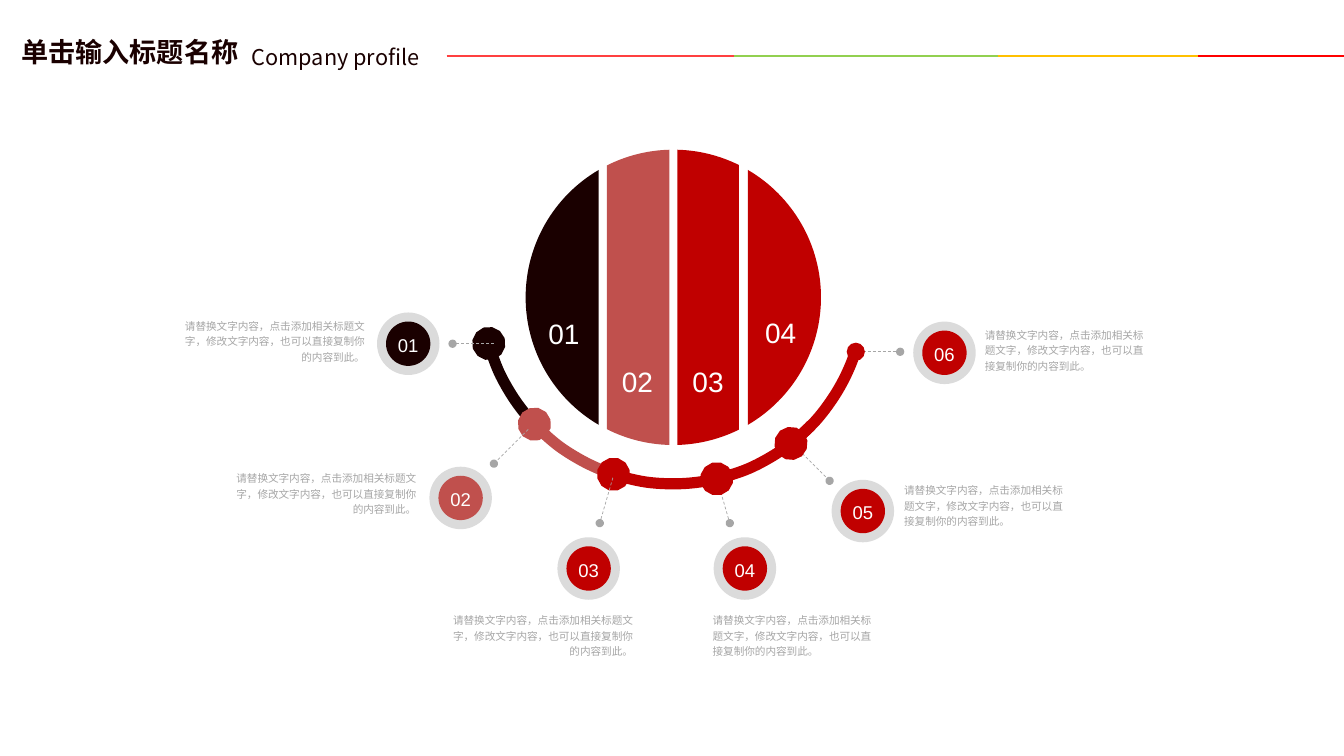
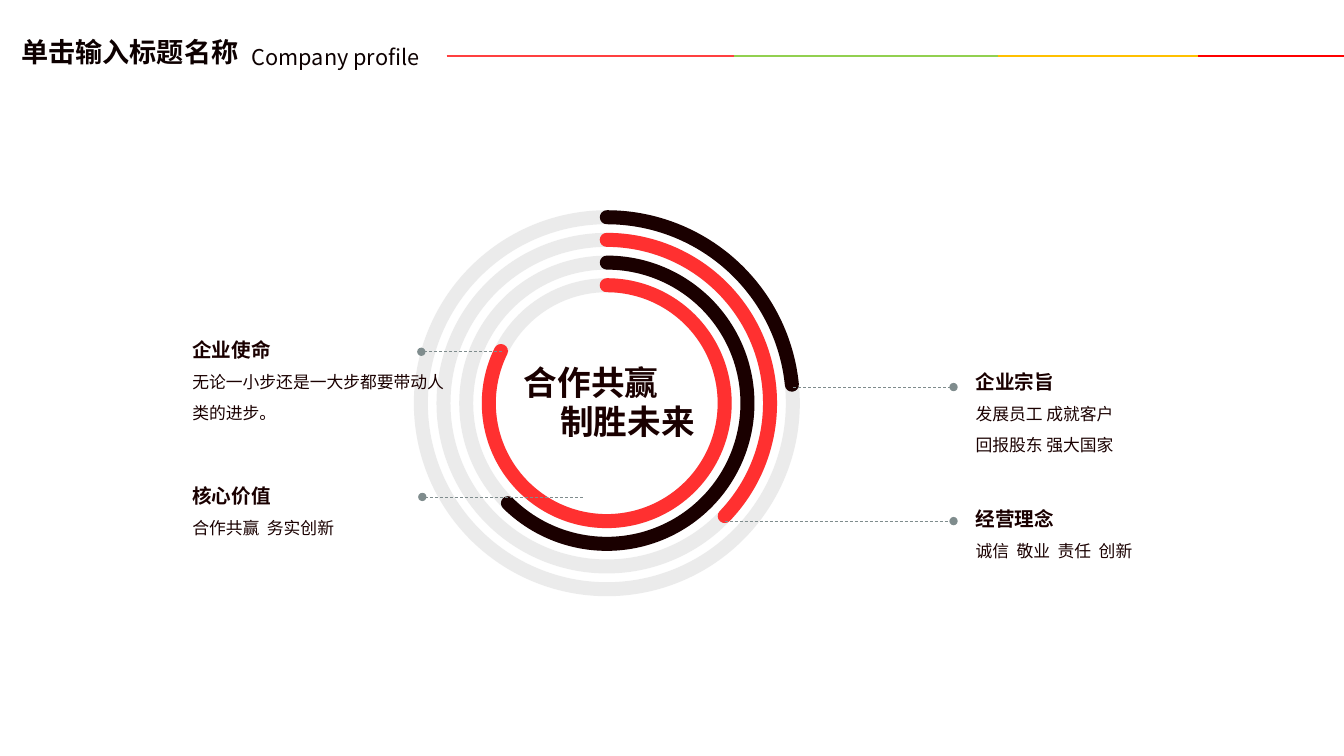
from dataclasses import dataclass
from math import acos, cos, pi, radians, sin, tan

from lxml import etree
from pptx import Presentation
from pptx.dml.color import RGBColor
from pptx.enum.dml import MSO_LINE
from pptx.enum.shapes import MSO_CONNECTOR, MSO_SHAPE
from pptx.enum.text import MSO_ANCHOR, MSO_AUTO_SIZE, PP_ALIGN
from pptx.oxml.ns import qn
from pptx.util import Inches, Pt


@dataclass(frozen=True)
class Theme:
    ink: str = "1A0000"
    deep_ink: str = "0D0000"
    rose: str = "C0504D"
    red: str = "C00000"
    bright: str = "FF3030"
    white: str = "FFFFFF"
    grey: str = "A6A6A6"
    slate: str = "7F8C8D"
    halo: str = "DBDBDB"
    track: str = "D9D9D9"
    cjk: str = "Noto Sans CJK SC"
    latin: str = "Arial"
    title: float = 19.4
    subtitle: float = 15.5
    slogan: float = 24
    heading: float = 14
    body: float = 12
    stripe: float = 20
    badge: float = 13.2
    caption: float = 7.6


THEME = Theme()
CAPTION = "请替换文字内容，点击添加相关标题文字，修改文字内容，也可以直接复制你的内容到此。"
HEADER_STOPS = (4.43, 7.28, 9.9, 11.89, 13.33)
HEADER_COLORS = ("FF4040", "92D050", "FFC000", "FF0000")

DISC_CENTER, DISC_RADIUS = (6.68, 2.95), 1.465
TRACK_CENTER, TRACK_RADIUS = (6.68, 2.9), 1.9
# left edge, right edge, colour, label position
STRIPES = (
    (5.21, 5.94, THEME.ink, (5.33, 3.11)),
    (6.02, 6.64, THEME.rose, (6.06, 3.59)),
    (6.72, 7.33, THEME.red, (6.76, 3.59)),
    (7.42, 8.15, THEME.red, (7.48, 3.1)),
)
# angle of the node, angle of the far end (clockwise from the right), colour
LEFT_ARCS = (
    (164.5, 134.4, THEME.ink),
    (136.5, 103.7, THEME.rose),
    (108.2, 74.7, THEME.red),
)
RIGHT_ARCS = ((76.9, 43.9, THEME.red), (52.1, 17.9, THEME.red))
# badge centre, colour, leader from arc to dot, caption position, align
BADGES = (
    ((4.05, 3.41), THEME.ink, (4.9, 3.41), (4.49, 3.41), (1.82, 3.15), "right"),
    ((4.57, 4.94), THEME.rose, (5.24, 4.26), (4.9, 4.6), (2.33, 4.66), "right"),
    ((5.84, 5.64), THEME.red, (6.08, 4.74), (5.95, 5.19), (4.48, 6.07), "right"),
    ((7.39, 5.64), THEME.red, (7.11, 4.74), (7.24, 5.19), (7.07, 6.07), "left"),
    ((8.56, 5.07), THEME.red, (7.89, 4.43), (8.23, 4.77), (8.97, 4.78), "left"),
    ((9.37, 3.5), THEME.red, (8.51, 3.49), (8.93, 3.49), (9.77, 3.24), "left"),
)
CAPTION_SIZES = {"left": (1.65, 0.46), "right": (1.8, 0.52)}

RING_CENTER, RING_OUTER, RING_STEP = (6.02, 4), 3.69, 0.45
# end angle of each ring's sweep, colour
SWEEPS = (
    (354.28, THEME.ink),
    (43.74, THEME.bright),
    (134.69, THEME.ink),
    (206.24, THEME.bright),
)
# text position, height, lines, leader from ring to dot
NOTES = (
    ((9.58, 3.63), 0.94, ("企业宗旨", "发展员工 成就客户", "回报股东 强大国家"),
     (7.87, 3.84), (9.46, 3.84)),
    ((9.58, 4.98), 0.64, ("经营理念", "诚信  敬业  责任  创新"),
     (7.19, 5.17), (9.46, 5.17)),
    ((1.81, 4.76), 0.64, ("核心价值", "合作共赢  务实创新"),
     (5.78, 4.93), (4.19, 4.93)),
    ((1.81, 3.31), 0.94, ("企业使命", "无论一小步还是一大步都要带动人类的进步。"),
     (4.98, 3.49), (4.18, 3.49)),
)
ALIGNS = {"left": PP_ALIGN.LEFT, "center": PP_ALIGN.CENTER, "right": PP_ALIGN.RIGHT}


def rgb(color):
    return RGBColor.from_string(color)


def assign(target, values):
    for name, value in values.items():
        setattr(target, name, value)


def prepare_frame(frame, inset=(0, 0), anchor=MSO_ANCHOR.TOP):
    side, top = (Inches(value) for value in inset)
    assign(frame, {
        "word_wrap": True, "auto_size": MSO_AUTO_SIZE.NONE,
        "vertical_anchor": anchor, "margin_left": side, "margin_right": side,
        "margin_top": top, "margin_bottom": top,
    })


def write(para, text, size, color, font=THEME.cjk, bold=False, align="left", leading=None):
    """Fill a paragraph with one run; leading is the line pitch in points."""
    assign(para, {
        "alignment": ALIGNS[align], "space_before": Pt(0),
        "line_spacing": Pt(leading or round(size * 1.18, 1)),
    })
    span = para.add_run()
    span.text = text
    assign(span.font, {"name": font, "size": Pt(size), "bold": bold})
    span.font.color.rgb = rgb(color)
    latin = span.font._element.find(qn("a:latin"))
    latin.addnext(etree.Element(qn("a:ea"), typeface=THEME.cjk))


def text_box(page, x, y, width, height):
    box = page.shapes.add_textbox(*map(Inches, (x, y, width, height)))
    prepare_frame(box.text_frame, (0.1, 0.05))
    return box.text_frame


def label_shape(page, x, y, width, height, anchor=MSO_ANCHOR.TOP):
    """Unpainted rectangle that carries text without insets."""
    label = page.shapes.add_shape(
        MSO_SHAPE.RECTANGLE, *map(Inches, (x, y, width, height)))
    finish(label)
    label.line.fill.background()
    prepare_frame(label.text_frame, anchor=anchor)
    return label.text_frame


def stroke(shape, color, width, dash=None, **extras):
    """Style an outline; extras: cap, alpha (percent), head and tail."""
    shape.line.width = Pt(width)
    shape.line.color.rgb = rgb(color)
    if dash:
        shape.line.dash_style = dash
    outline = shape.element.spPr.find(qn("a:ln"))
    if "cap" in extras:
        outline.set("cap", extras["cap"])
    if "alpha" in extras:
        tint = outline.find(f"{qn('a:solidFill')}/{qn('a:srgbClr')}")
        etree.SubElement(tint, qn("a:alpha"), val=str(extras["alpha"] * 1000))
    for end in ("head", "tail"):
        if end in extras:
            etree.SubElement(outline, qn(f"a:{end}End"), type=extras[end])


def segment(page, start, end, color, width, **style):
    points = map(Inches, (*start, *end))
    line = page.shapes.add_connector(MSO_CONNECTOR.STRAIGHT, *points)
    stroke(line, color, width, **style)
    etree.SubElement(line.element.spPr, qn("a:effectLst"))


def leader(page, start, dot, color):
    segment(page, start, dot, color, 0.5, dash=MSO_LINE.DASH, tail="oval")


def round_shape(page, center, diameter, kind=MSO_SHAPE.OVAL, fill=None):
    left, top = (value - diameter / 2 for value in center)
    shape = page.shapes.add_shape(kind, *map(Inches, (left, top, diameter, diameter)))
    finish(shape, fill)
    return shape


def finish(shape, fill=None):
    shape.shadow.inherit = False
    if fill:
        shape.fill.solid()
        shape.fill.fore_color.rgb = rgb(fill)
        shape.line.fill.background()
    else:
        shape.fill.background()


def curve(center, radius, start, end, parts=1):
    """Bezier points of a circular arc, angles in radians, clockwise from the right."""
    step = (end - start) / parts
    reach = 4 / 3 * tan(step / 4)

    def at(angle, pull=0):
        return (center[0] + radius * (cos(angle) - pull * sin(angle)),
                center[1] + radius * (sin(angle) + pull * cos(angle)))

    points = [at(start)]
    for part in range(parts):
        begin = start + part * step
        points += [at(begin, reach), at(begin + step, -reach), at(begin + step)]
    return points


def curved_shape(page, curves, close):
    """Freeform of Bezier curves, joined by straight lines."""
    first, *rest = [(Inches(x), Inches(y)) for points in curves for x, y in points]
    builder = page.shapes.build_freeform(*first)
    builder.add_line_segments(rest, close=close)
    shape = builder.convert_to_shape()
    steps = [None, *shape.element.iter(qn("a:lnTo"))]
    for points in curves:
        own, steps = steps[1:len(points)], steps[len(points):]
        for index in range(0, len(own), 3):
            bend = etree.Element(qn("a:cubicBezTo"))
            own[index].addprevious(bend)
            for line in own[index:index + 3]:
                bend.append(line[0])
                line.getparent().remove(line)
    return shape


def disc_stripe(page, left, right, color):
    """Vertical slice of the disc between two x positions."""
    start, end = (
        acos(max(-1, min(1, (x - DISC_CENTER[0]) / DISC_RADIUS))) for x in (left, right)
    )
    top = curve(DISC_CENTER, DISC_RADIUS, 2 * pi - start, 2 * pi - end)
    bottom = curve(DISC_CENTER, DISC_RADIUS, end, start)
    finish(curved_shape(page, (top, bottom), True), color)


def track_arc(page, start, end, color):
    points = curve(TRACK_CENTER, TRACK_RADIUS, radians(start), radians(end), 2)
    arc = curved_shape(page, (points,), False)
    finish(arc)
    stroke(arc, color, 8, head="oval")


def badge(page, center, number, color):
    round_shape(page, center, 0.62, fill=THEME.halo)
    core = round_shape(page, center, 0.44, fill=color)
    prepare_frame(core.text_frame, anchor=MSO_ANCHOR.MIDDLE)
    write(core.text_frame.paragraphs[0], number, THEME.badge, THEME.white,
          THEME.latin, align="center", leading=18)


def new_page(deck, ink):
    """Add a slide with the shared title, subtitle and coloured rule."""
    page = deck.slides.add_slide(deck.slide_layouts[5])
    title = page.shapes.title
    places = zip(("left", "top", "width", "height"), map(Inches, (0.11, 0.31, 2.55, 0.43)))
    assign(title, dict(places))
    prepare_frame(title.text_frame, (0.1, 0.05))
    write(title.text_frame.paragraphs[0], "单击输入标题名称", THEME.title, ink, bold=True)
    subtitle = text_box(page, 2.4, 0.39, 2.55, 0.36)
    write(subtitle.paragraphs[0], "Company profile", THEME.subtitle, ink)
    for left, right, color in zip(HEADER_STOPS, HEADER_STOPS[1:], HEADER_COLORS):
        segment(page, (left, 0.56), (right, 0.56), color, 1.5)
    return page


def disc_page(deck):
    page = new_page(deck, THEME.ink)
    for number, (left, right, color, place) in enumerate(STRIPES, 1):
        disc_stripe(page, left, right, color)
        label = label_shape(page, *place, 0.53, 0.33, MSO_ANCHOR.MIDDLE)
        write(label.paragraphs[0], f"{number:02}", THEME.stripe, THEME.white,
              THEME.latin, align="center", leading=28)
    for arc in LEFT_ARCS:
        track_arc(page, *arc)
    for number, (center, color, start, dot, place, align) in enumerate(BADGES, 1):
        badge(page, center, f"{number:02}", color)
        leader(page, start, dot, THEME.grey)
        caption = label_shape(page, *place, *CAPTION_SIZES[align])
        write(caption.paragraphs[0], CAPTION, THEME.caption, THEME.grey,
              THEME.latin, align=align, leading=10.9)
    for arc in RIGHT_ARCS:
        track_arc(page, *arc)
    round_shape(page, (8.49, 3.49), 0.18, fill=THEME.red)


def ring_page(deck):
    page = new_page(deck, THEME.deep_ink)
    diameters = [RING_OUTER - RING_STEP * index for index in range(len(SWEEPS))]
    for diameter in diameters:
        stroke(round_shape(page, RING_CENTER, diameter), THEME.track, 10, alpha=50)
    for diameter, (end, color) in zip(diameters, SWEEPS):
        sweep = round_shape(page, RING_CENTER, diameter, MSO_SHAPE.ARC)
        for index, angle in enumerate((270, end)):
            sweep.adjustments[index] = angle * 0.6
        stroke(sweep, color, 10, cap="rnd")
    slogan = text_box(page, 5.1, 3.55, 1.89, 0.91)
    write(slogan.paragraphs[0], "合作共赢", THEME.slogan, THEME.ink, bold=True, leading=28)
    write(slogan.add_paragraph(), "制胜未来", THEME.slogan, THEME.ink, bold=True,
          align="right", leading=28)
    for place, height, (heading, *lines), start, dot in NOTES:
        leader(page, start, dot, THEME.slate)
        note = text_box(page, *place, 2.76, height)
        write(note.paragraphs[0], heading, THEME.heading, THEME.ink, bold=True)
        for line in lines:
            write(note.add_paragraph(), line, THEME.body, THEME.ink, leading=21.7)


def main():
    deck = Presentation()
    assign(deck, {"slide_width": Inches(40 / 3), "slide_height": Inches(7.5)})
    disc_page(deck)
    ring_page(deck)
    deck.save("out.pptx")


if __name__ == "__main__":
    main()
